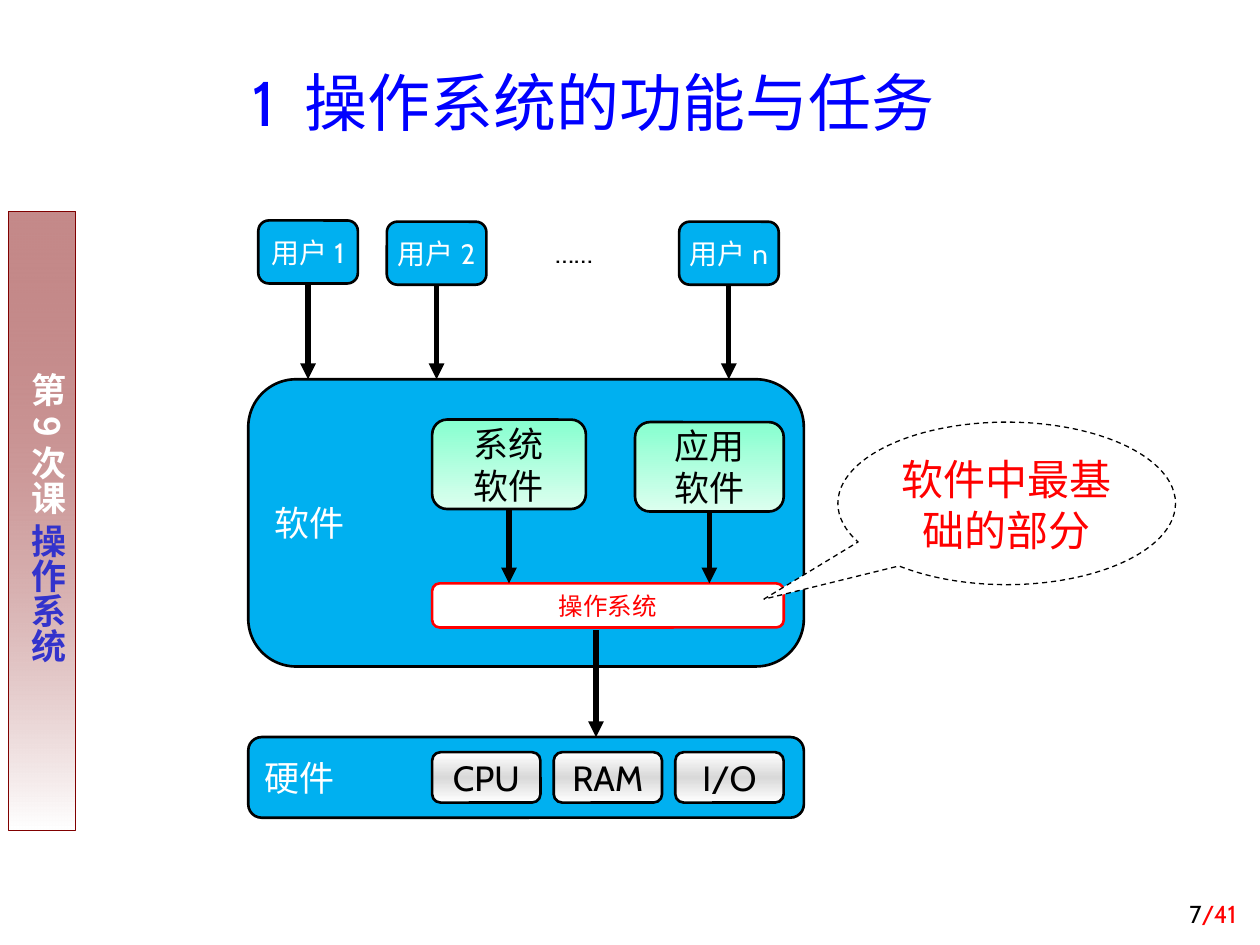
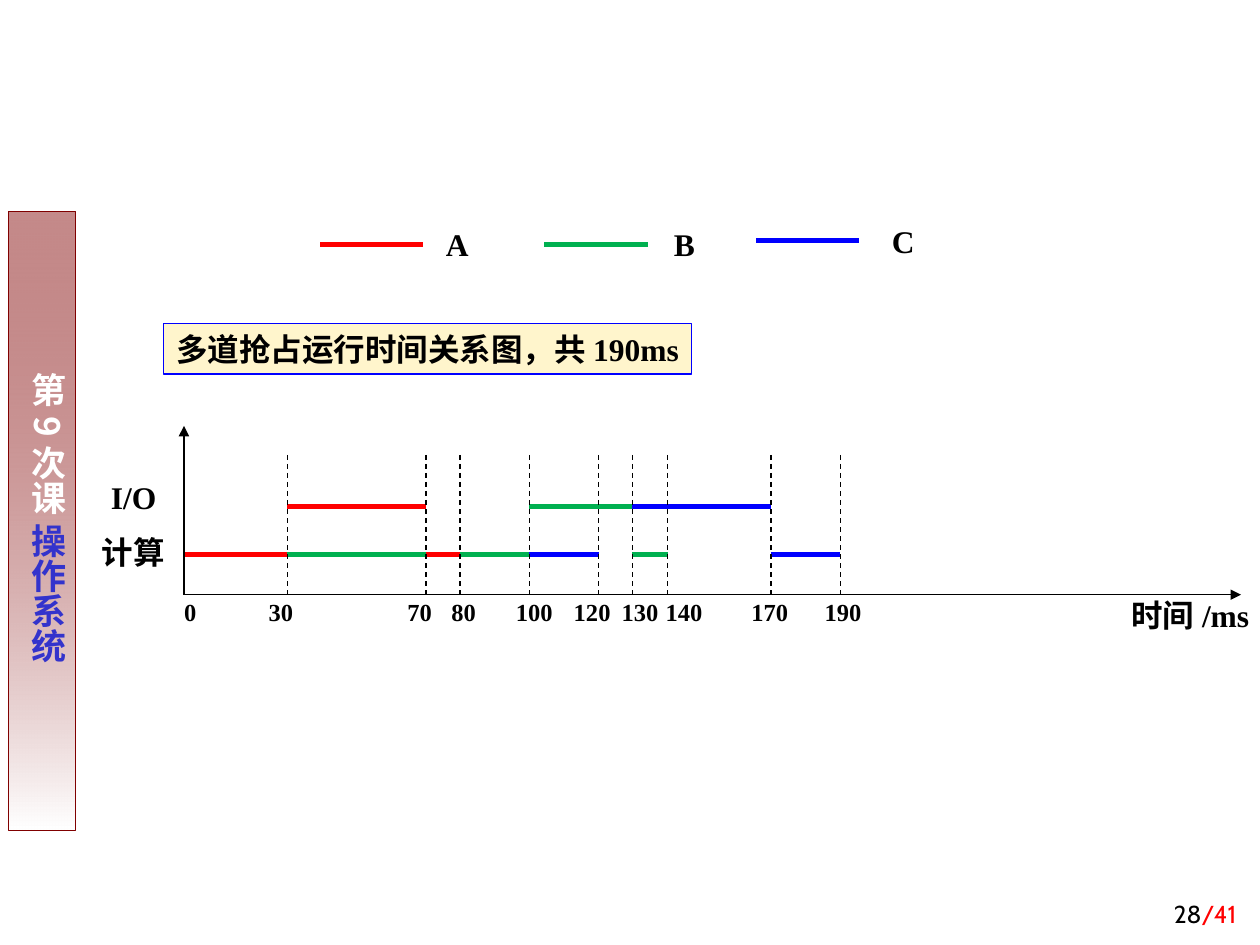
"""Builds two lecture slides on operating systems: system layers and a multiprogramming timeline."""
from dataclasses import dataclass

from lxml import etree
from pptx import Presentation
from pptx.dml.color import RGBColor
from pptx.enum.dml import MSO_LINE
from pptx.enum.shapes import MSO_CONNECTOR, MSO_SHAPE
from pptx.enum.text import MSO_ANCHOR, PP_ALIGN
from pptx.oxml.ns import qn
from pptx.util import Emu, Pt

PX = 9144
BLANK = 6
RECT, ROUNDED = MSO_SHAPE.RECTANGLE, MSO_SHAPE.ROUNDED_RECTANGLE
CALLOUT = MSO_SHAPE.OVAL_CALLOUT
STRAIGHT = MSO_CONNECTOR.STRAIGHT
DASH = MSO_LINE.DASH
LEFT, CENTER, RIGHT = PP_ALIGN.LEFT, PP_ALIGN.CENTER, PP_ALIGN.RIGHT
TOP, MIDDLE, BOTTOM = MSO_ANCHOR.TOP, MSO_ANCHOR.MIDDLE, MSO_ANCHOR.BOTTOM
BOTTOM_SIDE = 2


@dataclass(frozen=True)
class Theme:
    black: str = "000000"
    white: str = "FFFFFF"
    red: str = "FF0000"
    green: str = "00B050"
    blue: str = "0000FF"
    sky: str = "00B0F0"
    maroon: str = "800000"
    course: str = "3333CC"
    cream: str = "FFF5CC"
    mint: tuple = ((0, "86FFCF", 100), (100, "DCFFEF", 100))
    silver: tuple = ((0, "FFFFFF", 100), (50, "D9D9D9", 100), (100, "FFFFFF", 100))
    fade: tuple = ((0, "800000", 46), (100, "FFFFFF", 100))
    sans: str = "Cabin"
    serif: str = "Times New Roman"
    chinese: str = "Noto Sans CJK SC"
    title: int = 36
    callout: int = 24
    body: int = 20
    label: int = 18
    user: int = 16
    small: int = 14
    hairline: float = 0.75
    outline: float = 1.5
    heavy: float = 3


THEME = Theme()
BODY = {"size": THEME.body, "font": THEME.sans, "bold": False, "align": CENTER,
        "anchor": MIDDLE, "insets": (10, 5), "wrap": True}
CHART = {**BODY, "size": THEME.label, "font": THEME.serif, "bold": True,
         "align": LEFT, "anchor": TOP, "wrap": False}
USER = {**BODY, "size": THEME.user, "insets": (4, 4)}


def px(*lengths):
    return [Emu(round(length * PX)) for length in lengths]


def rgb(color):
    return RGBColor.from_string(color)


def set_all(target, values):
    for name, value in values.items():
        setattr(target, name, value)


def write(shape, paragraphs, style):
    """Fill a shape with paragraphs, each a list of (text, colour) runs."""
    across, down = px(*style["insets"])
    frame = shape.text_frame
    set_all(frame, {"word_wrap": style["wrap"], "vertical_anchor": style["anchor"],
                    "margin_left": across, "margin_right": across,
                    "margin_top": down, "margin_bottom": down})
    for index, runs in enumerate(paragraphs):
        paragraph = frame.add_paragraph() if index else frame.paragraphs[0]
        paragraph.alignment = style["align"]
        for text, color in runs:
            run = paragraph.add_run()
            run.text = text
            set_all(run.font, {"size": Pt(style["size"]), "bold": style["bold"],
                               "name": style["font"]})
            run.font.color.rgb = rgb(color)
            etree.SubElement(run.font._element, qn("a:ea"), typeface=THEME.chinese)


def paint(shape, fill):
    """Apply a plain colour or a downward gradient of (position, colour, opacity) stops."""
    if isinstance(fill, str):
        shape.fill.solid()
        shape.fill.fore_color.rgb = rgb(fill)
        return
    shape.fill.gradient()
    shape.fill.gradient_angle = 270
    stops = shape._element.spPr.find(".//" + qn("a:gsLst"))
    for old in list(stops):
        stops.remove(old)
    for position, color, opacity in fill:
        stop = etree.SubElement(stops, qn("a:gs"), pos=str(position * 1000))
        tint = etree.SubElement(stop, qn("a:srgbClr"), val=color)
        if opacity < 100:
            etree.SubElement(tint, qn("a:alpha"), val=str(opacity * 1000))


def add_box(slide, kind, place, fill, paragraphs, style=BODY, edge=THEME.black, weight=THEME.outline):
    box = slide.shapes.add_shape(kind, *px(*place))
    box.shadow.inherit = False
    paint(box, fill)
    box.line.color.rgb = rgb(edge)
    box.line.width = Pt(weight)
    write(box, paragraphs, style)
    return box


def add_text(slide, place, runs, style):
    write(slide.shapes.add_textbox(*px(*place)), [runs], style)


def add_line(slide, start, end, color=THEME.black, weight=THEME.heavy, dash=None, arrow=False):
    line = slide.shapes.add_connector(STRAIGHT, *px(*start, *end))
    line.line.color.rgb = rgb(color)
    line.line.width = Pt(weight)
    if dash:
        line.line.dash_style = dash
    properties = line._element.spPr
    if arrow:
        etree.SubElement(properties.find(qn("a:ln")), qn("a:tailEnd"), type="triangle")
    etree.SubElement(properties, qn("a:effectLst"))
    return line


def add_arrow_down(slide, source, target):
    """Join the bottom of one box to the top edge of another, straight below."""
    x = (source.left + source.width / 2) / PX
    start = (source.top + source.height) / PX
    arrow = add_line(slide, (x, start), (x, target.top / PX), arrow=True)
    arrow.begin_connect(source, BOTTOM_SIDE)


def add_page(deck, number):
    """Add a slide with the course band and page number."""
    slide = deck.slides.add_slide(deck.slide_layouts[BLANK])
    band = add_box(slide, RECT, (7, 168, 53, 491), THEME.fade,
                   [[("第9次课 ", THEME.white), ("操作系统", THEME.course)]],
                   {**BODY, "font": THEME.chinese, "bold": True, "align": LEFT,
                    "anchor": TOP, "insets": (5, 10)}, THEME.maroon, THEME.hairline)
    band.text_frame.margin_top, = px(128)
    band.text_frame._txBody.bodyPr.set("vert", "eaVert")
    add_text(slide, (783, 692, 208, 50), [(str(number), THEME.black), ("/41", THEME.red)],
             {**BODY, "size": THEME.small, "align": RIGHT, "anchor": BOTTOM})
    return slide


def build_layers(deck):
    slide = add_page(deck, 7)
    add_text(slide, (169, 36, 604, 79), [("1 操作系统的功能与任务", THEME.blue)],
             {**BODY, "size": THEME.title, "anchor": BOTTOM})

    users = [add_box(slide, ROUNDED, (left, top, 79, 50), THEME.sky,
                     [[(name, THEME.white)]], USER)
             for name, left, top in (("用户1", 205, 175), ("用户2", 307, 176), ("用户n", 539, 176))]
    add_text(slide, (416, 175, 79, 50), [("……", THEME.black)], USER)

    software, hardware = [
        add_box(slide, ROUNDED, (197, top, 441, height), THEME.sky,
                [[(name, THEME.white)]], {**BODY, "align": LEFT})
        for name, top, height in (("软件", 301, 228), ("硬件", 585, 64))]
    programs = [add_box(slide, ROUNDED, (left, top, width, 71), THEME.mint,
                        [[(kind, THEME.black)], [("软件", THEME.black)]])
                for kind, left, top, width in (("系统", 343, 333, 122), ("应用", 504, 335, 118))]
    system = add_box(slide, ROUNDED, (343, 463, 279, 35), THEME.white,
                     [[("操作系统", THEME.red)]], {**BODY, "size": THEME.small}, THEME.red)
    for index, device in enumerate(("CPU", "RAM", "I/O")):
        add_box(slide, ROUNDED, (343 + 96.5 * index, 597, 86, 40), THEME.silver,
                [[(device, THEME.black)]])

    for user in users:
        add_arrow_down(slide, user, software)
    for program in programs:
        add_arrow_down(slide, program, system)
    add_line(slide, (473, 500), (473, hardware.top / PX), arrow=True)

    remark = add_box(slide, CALLOUT, (665, 335, 268, 129), THEME.white,
                     [[("软件中最基础的部分", THEME.red)]],
                     {**BODY, "size": THEME.callout, "anchor": BOTTOM}, weight=THEME.hairline)
    remark.line.dash_style = DASH
    remark.adjustments[0], remark.adjustments[1] = -0.72, 0.59


def build_timeline(deck):
    slide = add_page(deck, 28)
    origin, baseline, per_ms = 146, 472, 2.74
    rows = {"I/O": 402, "计算": 440}
    jobs = {
        THEME.red: (("计算", 0, 30), ("I/O", 30, 70), ("计算", 70, 80)),
        THEME.green: (("计算", 30, 70), ("计算", 80, 100), ("I/O", 100, 130), ("计算", 130, 140)),
        THEME.blue: (("计算", 100, 120), ("I/O", 130, 170), ("计算", 170, 190)),
    }
    label_shifts = {0: 5, 30: -5, 70: -5, 80: 3, 100: 4, 120: -5, 130: 6, 140: 13, 170: -1, 190: 2}

    def at(moment):
        return round(origin + moment * per_ms)

    for color, bursts in jobs.items():
        for row, start, end in bursts:
            add_line(slide, (at(start), rows[row]), (at(end), rows[row]), color)
    for end in ((985, baseline), (origin, 338)):
        add_line(slide, (origin, baseline), end, weight=THEME.hairline, arrow=True)
    for moment, shift in label_shifts.items():
        x = at(moment)
        if moment:
            add_line(slide, (x, 361), (x, baseline), weight=THEME.hairline, dash=DASH)
        add_text(slide, (x + shift - 25, 469, 50, 34), [(str(moment), THEME.black)],
                 {**CHART, "size": THEME.small, "align": CENTER})

    for name, place in (("I/O", (88, 379, 50, 30)), ("计算", (81, 423, 60, 30)),
                        ("时间/ms", (898, 473, 102, 30))):
        add_text(slide, place, [(name, THEME.black)], {**CHART, "insets": (0, 0)})
    for job, color, left, label_left, y in (("A", THEME.red, 254, 344, 194),
                                            ("B", THEME.green, 432, 525, 194),
                                            ("C", THEME.blue, 600, 698, 191)):
        add_line(slide, (left, y), (left + 82, y), color)
        add_text(slide, (label_left, y - 20, 38, 40), [(job, THEME.black)], CHART)
    add_box(slide, RECT, (130, 257, 419, 40), THEME.cream,
            [[("多道抢占运行时间关系图，共190ms", THEME.black)]], CHART, THEME.blue, THEME.hairline)


def main():
    deck = Presentation()
    deck.slide_width, deck.slide_height = px(1000, 750)
    build_layers(deck)
    build_timeline(deck)
    deck.save("out.pptx")


if __name__ == "__main__":
    main()
